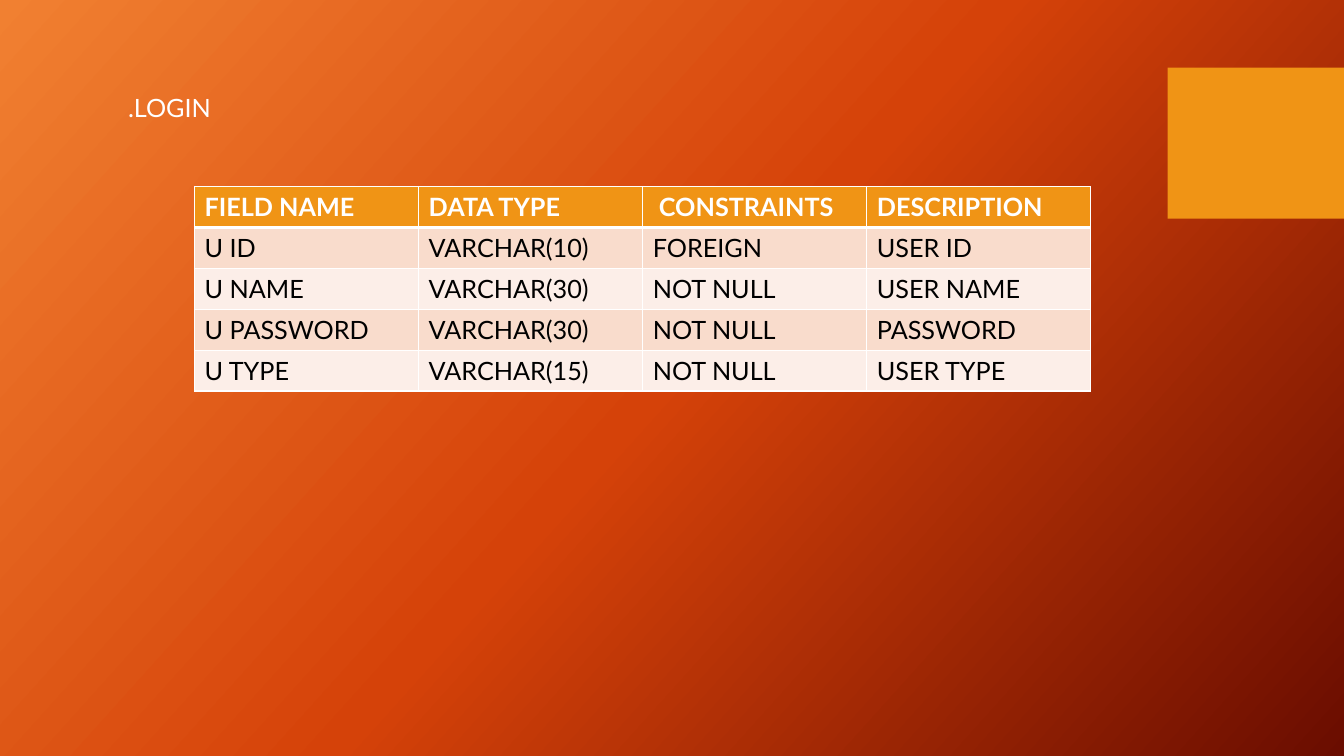
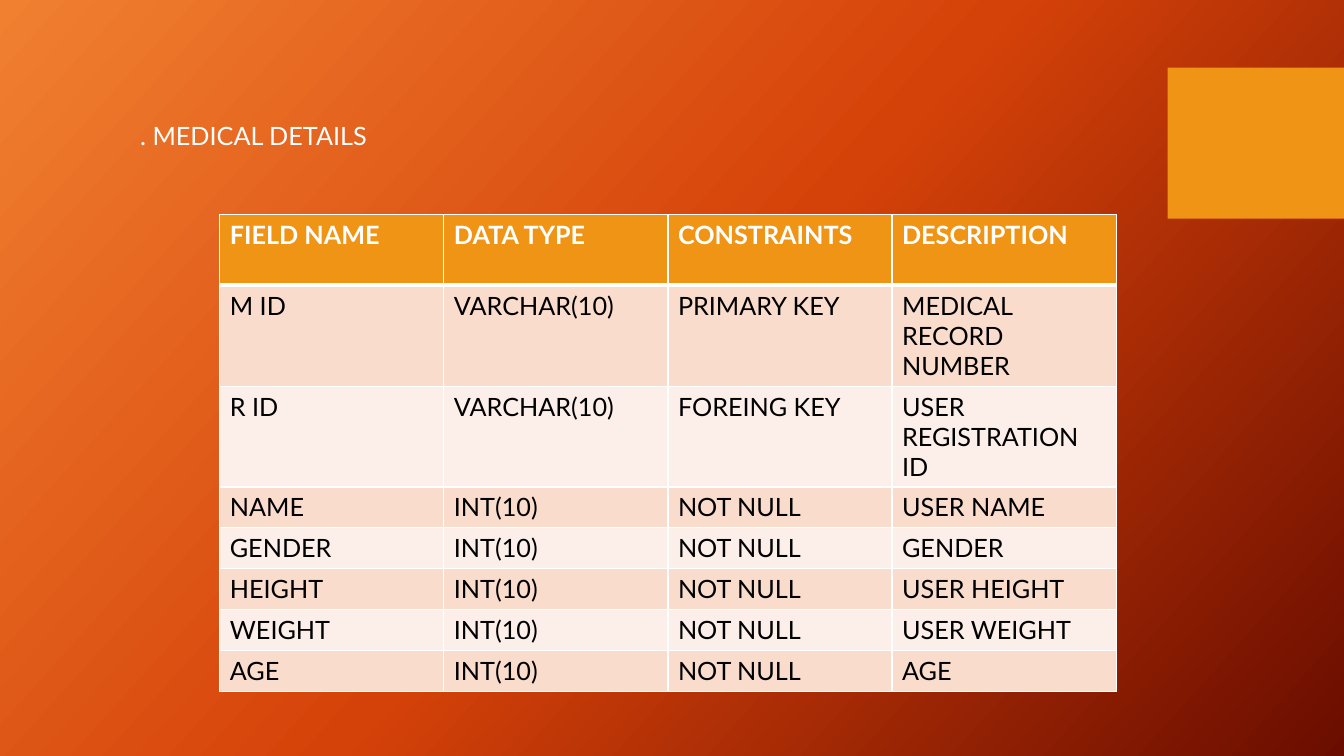
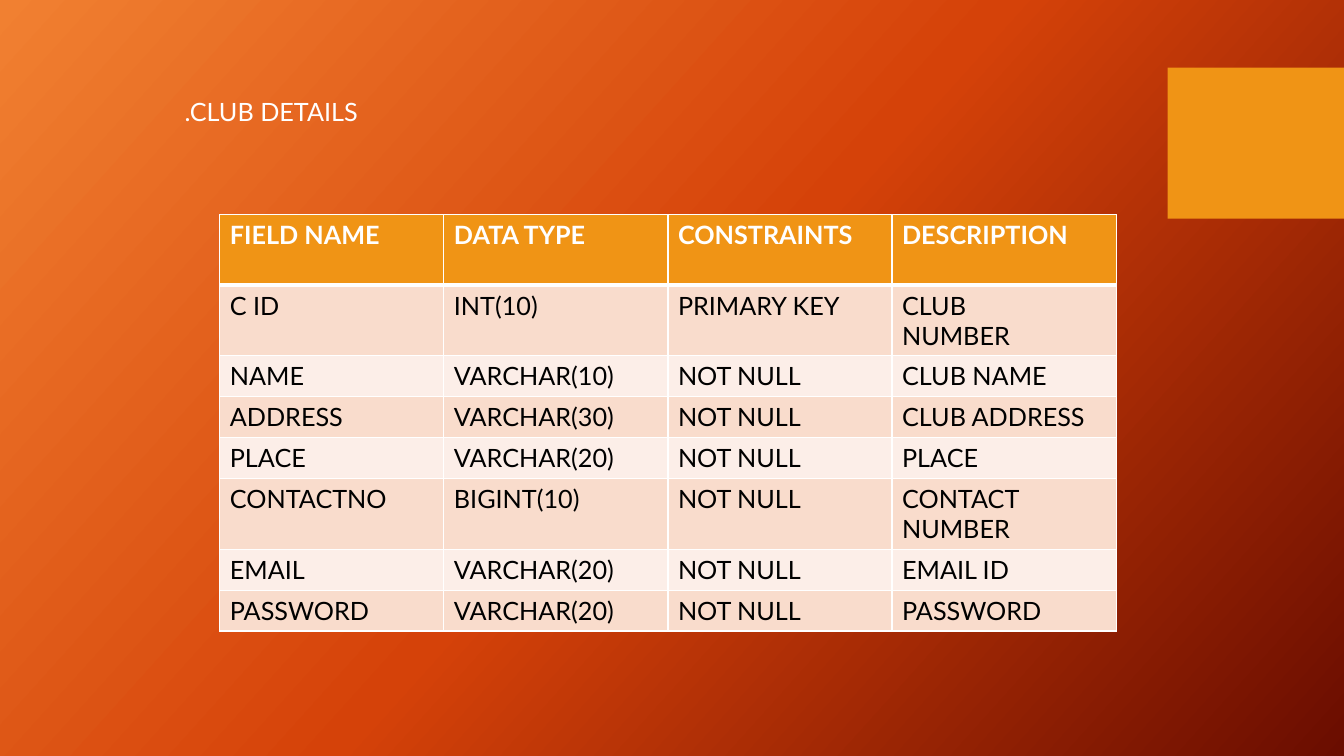
import copy
import dataclasses

import pptx
import pptx.dml.color
import pptx.enum.shapes
import pptx.enum.text
import pptx.oxml
import pptx.oxml.ns
import pptx.util

Inches = pptx.util.Inches


@dataclasses.dataclass(frozen=True)
class Theme:
    """Colours, type and measures shared by all slides."""
    font: str = "Lato"
    size: int = 18
    light: str = "FFFFFF"
    dark: str = "000000"
    accent: str = "F09415"
    stripes: tuple = ("F9DCCC", "FCEEE8")
    gradient: tuple = ((0, "F18031"), (0.5, "D54209"), (1, "6A0D00"))
    angle: int = 42
    column: float = 8.89 / 4
    row: float = 2.03 / 5
    line: float = 0.3
    padding: float = 0.1
    rule: int = 1
    header_rule: int = 3


THEME = Theme()
HEADER = ("FIELD NAME", "DATA TYPE", "CONSTRAINTS", "DESCRIPTION")

LOGIN = (
    ("FIELD NAME", "DATA TYPE", " CONSTRAINTS", "DESCRIPTION"),
    ("U ID", "VARCHAR(10)", "FOREIGN", "USER ID"),
    ("U NAME", "VARCHAR(30)", "NOT NULL", "USER NAME"),
    ("U PASSWORD", "VARCHAR(30)", "NOT NULL", "PASSWORD"),
    ("U TYPE", "VARCHAR(15)", "NOT NULL", "USER TYPE"),
)
MEDICAL = (
    HEADER,
    ("M ID", "VARCHAR(10)", "PRIMARY KEY", "MEDICAL RECORD\nNUMBER"),
    ("R ID", "VARCHAR(10)", "FOREING KEY", "USER REGISTRATION ID"),
    ("NAME", "INT(10)", "NOT NULL", "USER NAME"),
    ("GENDER", "INT(10)", "NOT NULL", "GENDER"),
    ("HEIGHT", "INT(10)", "NOT NULL", "USER HEIGHT"),
    ("WEIGHT", "INT(10)", "NOT NULL", "USER WEIGHT"),
    ("AGE", "INT(10)", "NOT NULL", "AGE"),
)
CLUB = (
    HEADER,
    ("C ID", "INT(10)", "PRIMARY KEY", "CLUB\nNUMBER"),
    ("NAME", "VARCHAR(10)", "NOT NULL", "CLUB NAME"),
    ("ADDRESS", "VARCHAR(30)", "NOT NULL", "CLUB ADDRESS"),
    ("PLACE", "VARCHAR(20)", "NOT NULL", "PLACE"),
    ("CONTACTNO", "BIGINT(10)", "NOT NULL", "CONTACT\nNUMBER"),
    ("EMAIL", "VARCHAR(20)", "NOT NULL", "EMAIL ID"),
    ("PASSWORD", "VARCHAR(20)", "NOT NULL", "PASSWORD"),
)


def rgb(code):
    """Turn a hex code into a colour."""
    return pptx.dml.color.RGBColor.from_string(code)


def write_text(frame, text, color=THEME.light, bold=False, size=THEME.size):
    """Fill a text frame, one left-aligned paragraph for each line."""
    frame.word_wrap = True
    for index, line in enumerate(text.split("\n")):
        para = frame.add_paragraph() if index else frame.paragraphs[0]
        para.alignment = pptx.enum.text.PP_ALIGN.LEFT
        span = para.add_run()
        span.text = line
        span.font.name = THEME.font
        span.font.size = pptx.util.Pt(size)
        span.font.bold = bold
        span.font.color.rgb = rgb(color)


def paint_background(master):
    """Give the master its diagonal gradient."""
    fill = master.background.fill
    fill.gradient()
    fill.gradient_angle = 360 - THEME.angle
    stops = master.element.find(".//" + pptx.oxml.ns.qn("a:gsLst"))
    stops.append(copy.deepcopy(stops[-1]))
    for stop, (position, color) in zip(fill.gradient_stops, THEME.gradient):
        stop.position = position
        stop.color.rgb = rgb(color)


def add_accent_block(slide):
    """Draw the accent block at the right edge."""
    block = slide.shapes.add_shape(
        pptx.enum.shapes.MSO_SHAPE.RECTANGLE,
        Inches(11.58), Inches(0.67), Inches(1.75), Inches(1.5))
    block.shadow.inherit = False
    block.fill.solid()
    block.fill.fore_color.rgb = rgb(THEME.accent)
    block.line.fill.background()


def set_title(slide, text, box):
    """Place and format the title placeholder."""
    title = slide.shapes.title
    title.left, title.top, title.width, title.height = map(Inches, box)
    frame = title.text_frame
    frame.auto_size = pptx.enum.text.MSO_AUTO_SIZE.NONE
    frame.vertical_anchor = pptx.enum.text.MSO_ANCHOR.TOP
    write_text(frame, text)


def set_borders(cell, top, bottom):
    """Draw the four cell borders in the light colour."""
    properties = cell._tc.get_or_add_tcPr()
    widths = {"L": THEME.rule, "R": THEME.rule, "T": top, "B": bottom}
    for index, (side, width) in enumerate(widths.items()):
        properties.insert(index, pptx.oxml.parse_xml(
            f'<a:ln{side} {pptx.oxml.ns.nsdecls("a")} w="{pptx.util.Pt(width)}">'
            f'<a:solidFill><a:srgbClr val="{THEME.light}"/></a:solidFill></a:ln{side}>'))


def row_height(lines):
    """Height of a table row that holds this many lines."""
    return max(THEME.row, THEME.padding + THEME.line * lines)


def add_field_table(slide, rows, left, top, lines):
    """Add a striped table; lines gives the line count of each row."""
    heights = [row_height(count) for count in lines]
    table = slide.shapes.add_table(
        len(rows), len(rows[0]), Inches(left), Inches(top),
        Inches(THEME.column * len(rows[0])), Inches(sum(heights))).table
    table.horz_banding = False
    for column in table.columns:
        column.width = Inches(THEME.column)
    for index, (texts, height) in enumerate(zip(rows, heights)):
        table.rows[index].height = Inches(height)
        header = index == 0
        fill = THEME.accent if header else THEME.stripes[(index - 1) % 2]
        for cell, text in zip(table.rows[index].cells, texts):
            cell.fill.solid()
            cell.fill.fore_color.rgb = rgb(fill)
            set_borders(cell,
                        top=THEME.header_rule if index == 1 else THEME.rule,
                        bottom=THEME.header_rule if header else THEME.rule)
            write_text(cell.text_frame, text, bold=header,
                       color=THEME.light if header else THEME.dark)


def main():
    """Build the deck and save it."""
    deck = pptx.Presentation()
    deck.slide_width, deck.slide_height = Inches(13.33), Inches(7.5)
    paint_background(deck.slide_master)
    pages = (
        (".LOGIN", (1.17, 0.87, 4.89, 0.4), LOGIN, (1.93, 1.85), (1,) * 5),
        (". MEDICAL DETAILS", (1.29, 1.14, 3.17, 0.4), MEDICAL, (2.18, 2.13),
         (2, 3, 3, 1, 1, 1, 1, 1)),
        (".CLUB DETAILS", (1.73, 0.91, 7.37, 1.01), CLUB, (2.18, 2.13),
         (2, 2, 1, 1, 1, 2, 1, 1)),
    )
    for title, box, rows, (left, top), lines in pages:
        slide = deck.slides.add_slide(deck.slide_layouts.get_by_name("Title Only"))
        add_accent_block(slide)
        set_title(slide, title, box)
        add_field_table(slide, rows, left, top, lines)
    deck.save("out.pptx")


if __name__ == "__main__":
    main()
